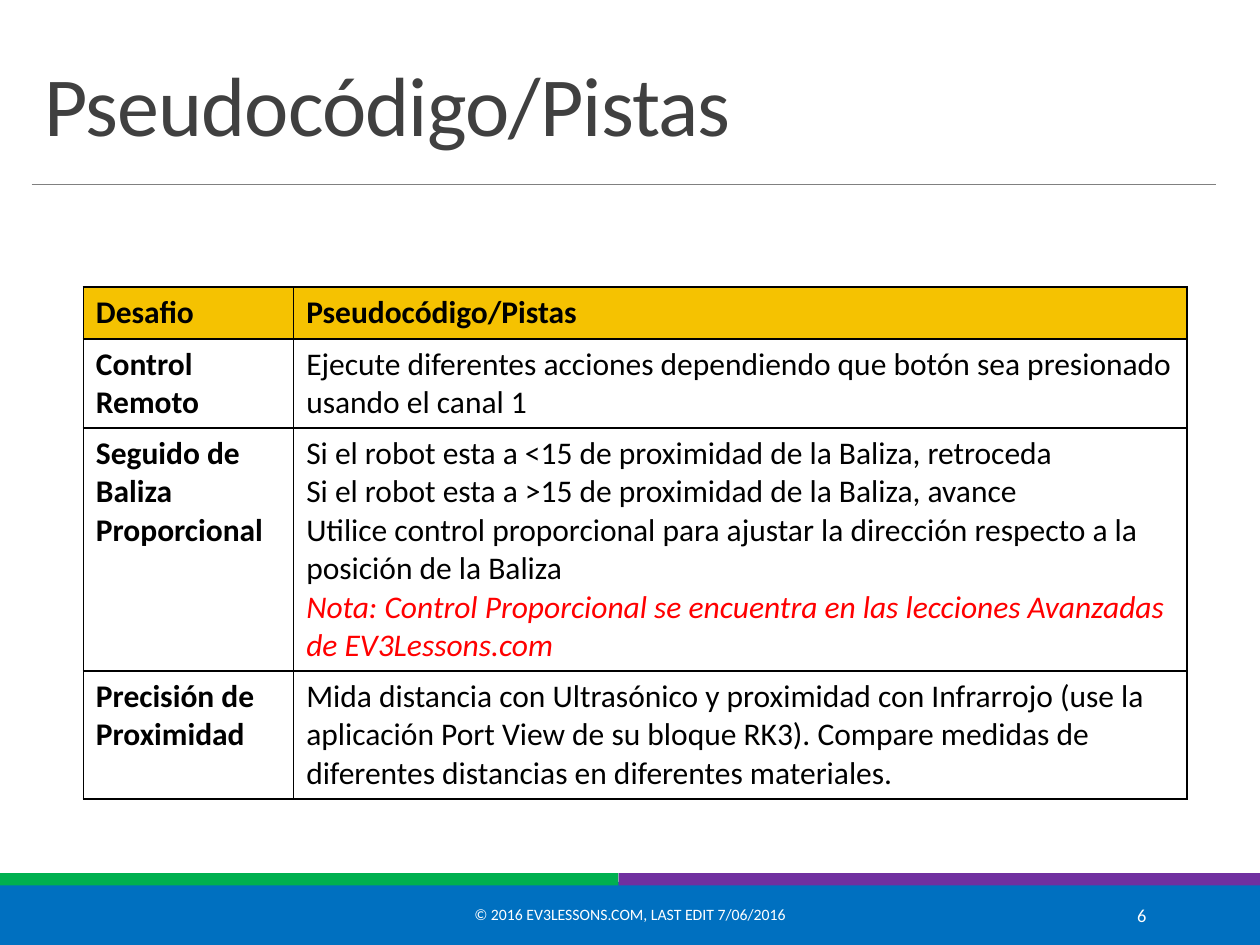
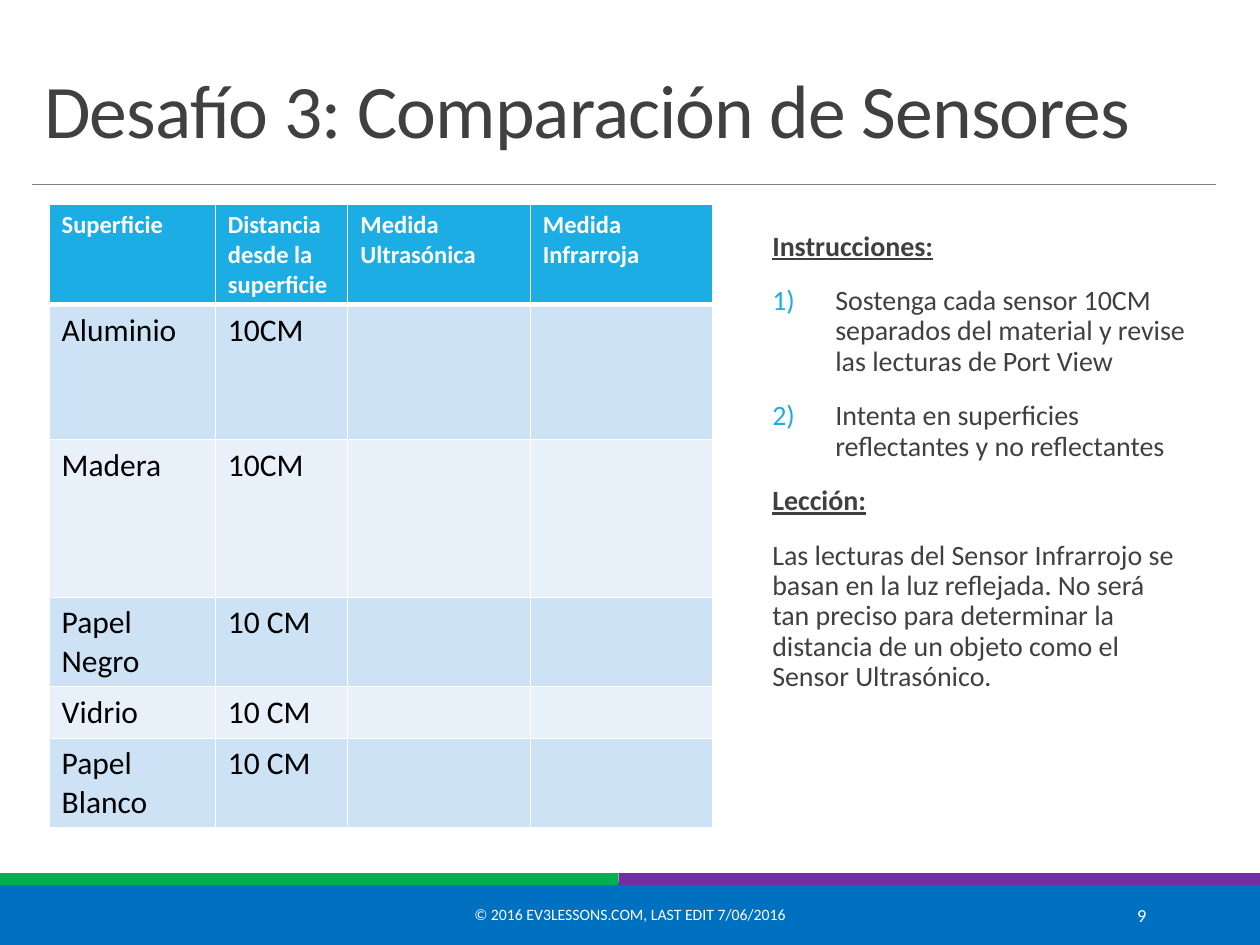
from lxml.etree import SubElement
from pptx import Presentation
from pptx.dml.color import RGBColor
from pptx.enum.shapes import MSO_CONNECTOR as LINK, MSO_SHAPE as SHAPE
from pptx.enum.text import MSO_ANCHOR as ANCHOR, MSO_AUTO_SIZE as FIT, PP_ALIGN as ALIGN
from pptx.oxml.ns import qn
from pptx.util import Cm, Pt

BLUE, GREEN, PURPLE = "0070C0", "00B050", "7030A0"
GOLD, CYAN, RED = "F5C201", "1CADE4", "FF0000"
BANDS = "CDE3F5", "E8F1FA"
BLACK, WHITE, DARK, GRAY = "000000", "FFFFFF", "404040", "808080"
FOOTER = "© 2016 EV3LESSONS.COM, LAST EDIT 7/06/2016"

HINTS = [
    ["Desafio", "Pseudocódigo/Pistas"],
    ["Control Remoto",
     "Ejecute diferentes acciones dependiendo que botón sea presionado usando el canal 1"],
    ["Seguido de Baliza Proporcional",
     ["Si el robot esta a <15 de proximidad de la Baliza, retroceda",
      "Si el robot esta a >15 de proximidad de la Baliza, avance",
      "Utilice control proporcional para ajustar la dirección respecto a la posición de la Baliza",
      "Nota: Control Proporcional se encuentra en las lecciones Avanzadas de EV3Lessons.com"]],
    ["Precisión de Proximidad",
     "Mida distancia con Ultrasónico y proximidad con Infrarrojo (use la aplicación Port View "
     "de su bloque RK3). Compare medidas de diferentes distancias en diferentes materiales."],
]
TESTS = [
    ["Superficie", "Distancia desde la superficie", "Medida Ultrasónica", "Medida Infrarroja"],
    ["Aluminio", "10CM", "", ""],
    ["Madera", "10CM", "", ""],
    ["Papel Negro", "10 CM", "", ""],
    ["Vidrio", "10 CM", "", ""],
    ["Papel Blanco", "10 CM", "", ""],
]
HEAD = {"bold": True, "underline": True}
NOTES = [
    ("Instrucciones:", HEAD, False),
    ("Sostenga cada sensor 10CM separados del material y revise las lecturas de Port View", {}, True),
    ("Intenta en superficies reflectantes y no reflectantes", {}, True),
    ("Lección:", HEAD, False),
    ("Las lecturas del Sensor Infrarrojo se basan en la luz reflejada. No será tan preciso para "
     "determinar la distancia de un objeto como el Sensor Ultrasónico.", {}, False),
]


def rgb(code):
    return RGBColor.from_string(code)


def apply(item, values):
    for name, value in values.items():
        setattr(item, name, value)


def write(para, text, size, color, **look):
    run = para.add_run()
    run.text = text
    apply(run.font, {"name": "Calibri", "size": Pt(size), **look})
    run.font.color.rgb = rgb(color)
    return run


def add_band(slide, left, top, width, height, color):
    band = slide.shapes.add_shape(SHAPE.RECTANGLE, Cm(left), Cm(top), Cm(width), Cm(height))
    band.shadow.inherit = False
    band.fill.solid()
    band.fill.fore_color.rgb = rgb(color)
    band.line.fill.background()


def add_rule(slide):
    rule = slide.shapes.add_connector(LINK.STRAIGHT, Cm(0.64), Cm(3.71), Cm(24.51), Cm(3.71))
    rule.line.color.rgb = rgb(GRAY)
    rule.line.width = Pt(0.5)
    SubElement(rule.element.spPr, qn("a:effectLst"))


def add_label(slide, left, width, text, size, align):
    frame = slide.shapes.add_textbox(Cm(left), Cm(17.93), Cm(width), Cm(1.02)).text_frame
    apply(frame, {"word_wrap": True, "vertical_anchor": ANCHOR.MIDDLE})
    para = frame.paragraphs[0]
    para.alignment = align
    write(para, text, size, WHITE)


def add_page(deck, title, size, number):
    """Start a slide with the shared bands, title and footer."""
    slide = deck.slides.add_slide(deck.slide_layouts[5])
    add_band(slide, 0, 17.78, 25.4, 1.27, BLUE)
    add_band(slide, 0, 17.6, 12.47, 0.25, GREEN)
    add_band(slide, 12.47, 17.6, 12.93, 0.25, PURPLE)
    add_rule(slide)
    head = slide.shapes.title
    apply(head, {"left": Cm(0.64), "top": Cm(0.79), "width": Cm(23.88), "height": Cm(2.44)})
    frame = head.text_frame
    apply(frame, {"auto_size": FIT.NONE, "word_wrap": True, "vertical_anchor": ANCHOR.BOTTOM})
    para = frame.paragraphs[0]
    apply(para, {"alignment": ALIGN.LEFT, "line_spacing": 0.85})
    run = write(para, title, size, DARK)
    run.font._element.set("spc", "-50")
    add_label(slide, 7.67, 10.06, FOOTER, 9, ALIGN.CENTER)
    add_label(slide, 20.62, 2.74, str(number), 10.5, ALIGN.RIGHT)
    return slide


def set_edges(cell, color, top=1, bottom=1):
    props = cell._tc.get_or_add_tcPr()
    for side, width in {"L": 1, "R": 1, "T": top, "B": bottom}.items():
        edge = SubElement(props, qn(f"a:ln{side}"), w=str(Pt(width)))
        fill = SubElement(edge, qn("a:solidFill"))
        SubElement(fill, qn("a:srgbClr"), val=color)


def fill_cell(cell, text, fill, size, color, bold):
    if fill:
        cell.fill.solid()
        cell.fill.fore_color.rgb = rgb(fill)
    else:
        cell.fill.background()
    frame = cell.text_frame
    for i, line in enumerate(text if isinstance(text, list) else [text]):
        para = frame.add_paragraph() if i else frame.paragraphs[0]
        note = line.startswith("Nota:")
        write(para, line, size, RED if note else color, bold=bold, italic=note)


def add_grid(slide, left, top, widths, heights, rows):
    table = slide.shapes.add_table(len(rows), len(widths), Cm(left), Cm(top),
                                   Cm(sum(widths)), Cm(sum(heights))).table
    for col, width in zip(table.columns, widths):
        col.width = Cm(width)
    for row, height in zip(table.rows, heights):
        row.height = Cm(height)
    return table


def add_hints(slide):
    table = add_grid(slide, 1.68, 5.79, [4.24, 18.01], [1.04, 1.8, 4.9, 2.58], HINTS)
    for r, row in enumerate(HINTS):
        for c, text in enumerate(row):
            cell = table.cell(r, c)
            set_edges(cell, BLACK)
            fill_cell(cell, text, None if r else GOLD, 18, BLACK, r == 0 or c == 0)


def add_tests(slide):
    table = add_grid(slide, 0.99, 4.11, [3.35, 2.67, 3.68, 3.68],
                     [2.02, 2.72, 3.18, 1.8, 1.04, 1.8], TESTS)
    for r, row in enumerate(TESTS):
        for c, text in enumerate(row):
            cell = table.cell(r, c)
            if r == 0:
                set_edges(cell, WHITE, bottom=3)
                fill_cell(cell, text, CYAN, 14, WHITE, True)
            else:
                set_edges(cell, WHITE, top=3 if r == 1 else 1)
                fill_cell(cell, text, BANDS[(r - 1) % 2], 18, BLACK, False)


def add_number(para):
    """Number the paragraph 1), 2) with a hanging indent."""
    props = para._p.get_or_add_pPr()
    props.set("marL", str(Cm(1.27)))
    props.set("indent", str(-Cm(1.27)))
    color = SubElement(props, qn("a:buClr"))
    SubElement(color, qn("a:srgbClr"), val=CYAN)
    SubElement(props, qn("a:buFont"), typeface="+mj-lt")
    SubElement(props, qn("a:buAutoNum"), type="arabicParenR")


def add_notes(slide):
    frame = slide.shapes.add_textbox(Cm(15.57), Cm(4.55), Cm(8.36), Cm(11.1)).text_frame
    apply(frame, {"word_wrap": True, "margin_left": 0, "margin_right": 0})
    for i, (text, look, numbered) in enumerate(NOTES):
        para = frame.add_paragraph() if i else frame.paragraphs[0]
        if numbered:
            add_number(para)
        apply(para, {"line_spacing": 0.9, "space_before": Pt(12 if i else 0), "space_after": Pt(2)})
        write(para, text, 16, DARK, **look)


def main():
    deck = Presentation()
    apply(deck, {"slide_width": Cm(25.4), "slide_height": Cm(19.05)})
    add_hints(add_page(deck, "Pseudocódigo/Pistas", 48, 6))
    last = add_page(deck, "Desafío 3: Comparación de Sensores", 43.2, 9)
    add_tests(last)
    add_notes(last)
    deck.save("out.pptx")


if __name__ == "__main__":
    main()
